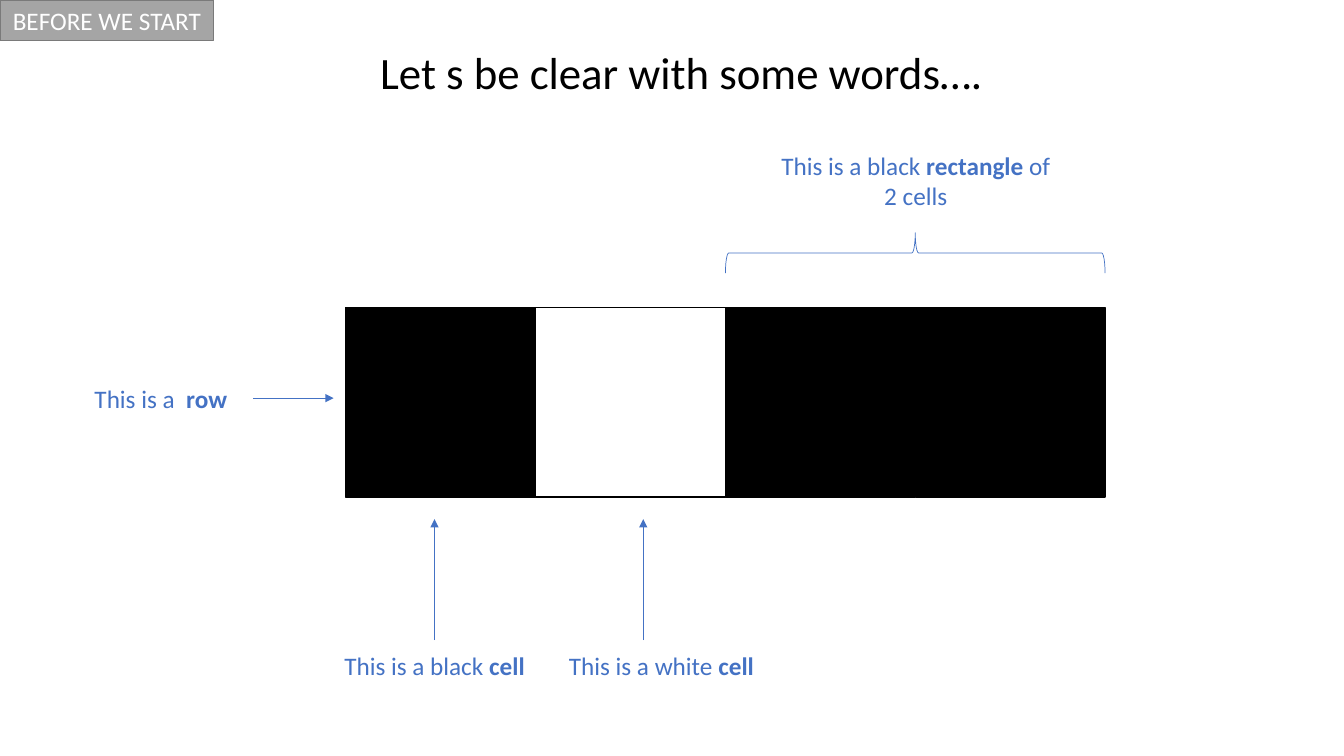
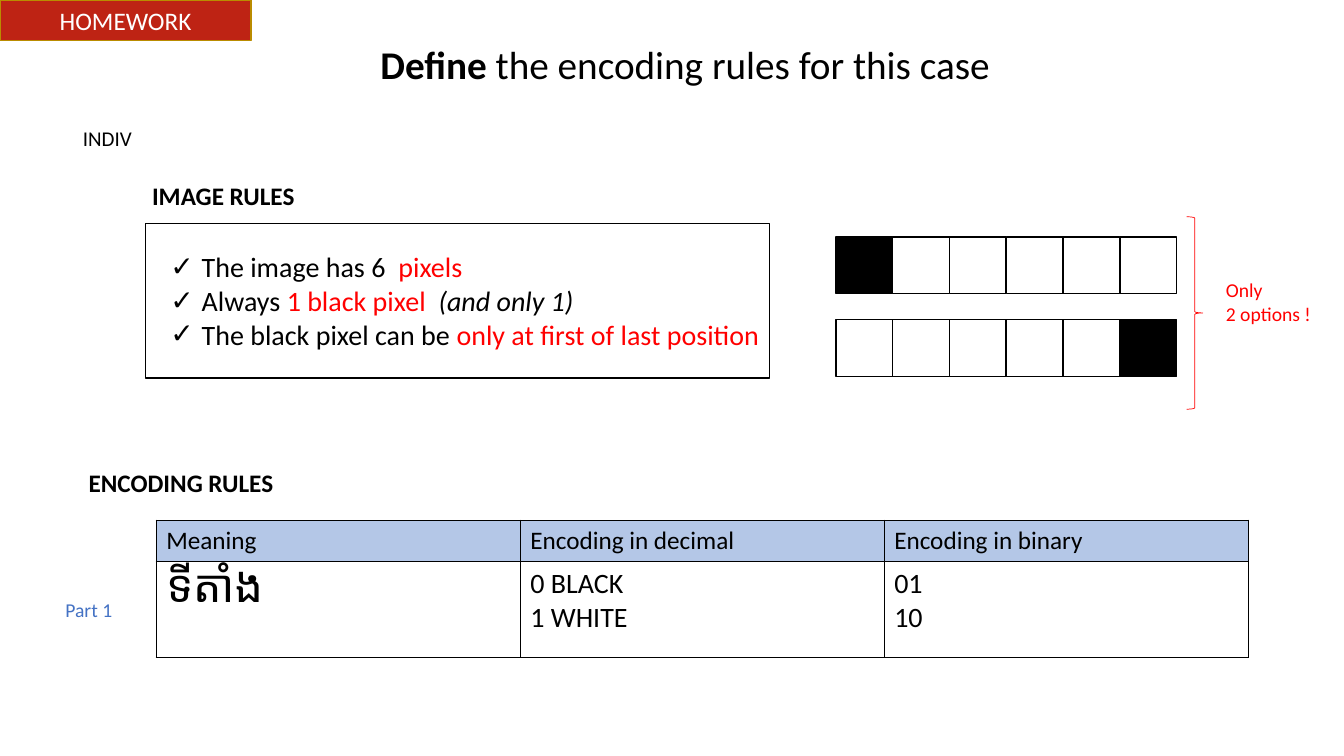
from dataclasses import dataclass

from lxml import etree
from pptx import Presentation
from pptx.dml.color import RGBColor
from pptx.enum.shapes import MSO_CONNECTOR, MSO_SHAPE
from pptx.enum.text import MSO_ANCHOR, MSO_AUTO_SIZE, PP_ALIGN
from pptx.oxml.ns import qn
from pptx.util import Inches, Pt

LEFT, CENTER = PP_ALIGN.LEFT, PP_ALIGN.CENTER
TOP, MIDDLE = MSO_ANCHOR.TOP, MSO_ANCHOR.MIDDLE
NO_AUTOFIT = MSO_AUTO_SIZE.NONE
RECTANGLE = MSO_SHAPE.RECTANGLE
LEFT_BRACE, RIGHT_BRACE = MSO_SHAPE.LEFT_BRACE, MSO_SHAPE.RIGHT_BRACE
STRAIGHT = MSO_CONNECTOR.STRAIGHT
TITLE_AND_CONTENT, TITLE_ONLY = 1, 5


@dataclass(frozen=True)
class Theme:
    font: str = "Calibri"
    black: str = "000000"
    white: str = "FFFFFF"
    blue: str = "4472C4"
    red: str = "FF0000"
    header: str = "B4C7E7"
    start_tag: tuple = ("A5A5A5", "7A7A7A")
    homework_tag: tuple = ("BE2314", "BA8C00")
    title: int = 32
    long_title: int = 28
    body: int = 20
    label: int = 18
    marker: int = 15
    note: int = 14
    outline: float = 1
    pointer: float = 0.5


THEME = Theme()


def rgb(color):
    return RGBColor.from_string(color)


def bold(text):
    return text, {"bold": True}


def red(text):
    return text, {"color": THEME.red}


# ---- Text ----
def set_font(font, size=None, color=None, bold=None, italic=None):
    if size:
        font.size = Pt(size)
    if color:
        font.color.rgb = rgb(color)
    if bold is not None:
        font.bold = bold
    if italic is not None:
        font.italic = italic


def set_bullet(paragraph, char, indent):
    properties = paragraph._p.get_or_add_pPr()
    properties.set("marL", str(Inches(indent)))
    properties.set("indent", str(-Inches(indent)))
    etree.SubElement(properties, qn("a:buChar")).set("char", char)


def write(frame, lines, size, color=THEME.black, align=LEFT, bold=None, bullet=None):
    """Each line is a string or a list of runs: strings or (string, font options)."""
    for index, line in enumerate(lines):
        paragraph = frame.add_paragraph() if index else frame.paragraphs[0]
        paragraph.alignment = align
        paragraph.space_before = Pt(0)
        if bullet:
            set_bullet(paragraph, bullet, 0.31)
        paragraph.font.name = THEME.font
        set_font(paragraph.font, size, color, bold)
        for part in [line] if isinstance(line, str) else line:
            text, options = (part, {}) if isinstance(part, str) else part
            run = paragraph.add_run()
            run.text = text
            set_font(run.font, **options)


def add_label(slide, box, lines, size=THEME.label, wrap=True, **style):
    frame = slide.shapes.add_textbox(*map(Inches, box)).text_frame
    frame.word_wrap = wrap
    write(frame, lines, size, **style)


def fill_placeholder(placeholder, box, lines, size, **style):
    placeholder.left, placeholder.top, placeholder.width, placeholder.height = map(Inches, box)
    frame = placeholder.text_frame
    frame.auto_size = NO_AUTOFIT
    frame.word_wrap = True
    frame.vertical_anchor = TOP
    write(frame, lines, size, **style)


# ---- Shapes ----
def add_shape(slide, kind, box, fill=None, line=THEME.black, width=THEME.outline):
    shape = slide.shapes.add_shape(kind, *map(Inches, box))
    shape.shadow.inherit = False
    if fill:
        shape.fill.solid()
        shape.fill.fore_color.rgb = rgb(fill)
    else:
        shape.fill.background()
    shape.line.color.rgb = rgb(line)
    shape.line.width = Pt(width)
    return shape


def add_arrow(slide, start, end):
    arrow = slide.shapes.add_connector(STRAIGHT, *map(Inches, start + end))
    arrow.line.color.rgb = rgb(THEME.blue)
    arrow.line.width = Pt(THEME.pointer)
    etree.SubElement(arrow.line._get_or_add_ln(), qn("a:tailEnd")).set("type", "triangle")
    etree.SubElement(arrow._element.spPr, qn("a:effectLst"))


def add_pixel_row(slide, left, top, width, pixels):
    """Draw one square per letter: B is black, W is white."""
    side = width / len(pixels)
    fills = {"B": THEME.black, "W": THEME.white}
    for column, pixel in enumerate(pixels):
        add_shape(slide, RECTANGLE, (left + column * side, top, side, side), fills[pixel])


def add_tag(slide, text, width, colors):
    tag = add_shape(slide, RECTANGLE, (0, 0, width, 0.4), *colors)
    tag.text_frame.vertical_anchor = MIDDLE
    write(tag.text_frame, [text], THEME.label, THEME.white, CENTER)


# ---- Vocabulary diagram ----
def add_vocabulary(slide, left, top, width):
    side = width / 4
    label = {"color": THEME.blue, "align": CENTER}
    add_pixel_row(slide, left, top, width, "BWBB")

    # Rectangle of two cells, under an upright brace
    center = left + 3 * side
    depth, span = 0.4, 2 * side
    brace_middle = top - 0.54
    brace_box = (center - depth / 2, brace_middle - span / 2, depth, span)
    brace = add_shape(slide, LEFT_BRACE, brace_box, line=THEME.blue, width=THEME.pointer)
    brace.rotation = 90
    add_label(slide, (center - 1.47, top - 1.61, 2.95, 0.71),
              [["This is a black ", bold("rectangle"), " of 2 cells"]], **label)

    # Single cells
    for color, offset, label_width in (("black", 0.88, 2), ("white", 2.95, 2.37)):
        x = left + offset
        add_arrow(slide, (x, top + 3.3), (x, top + 2.1))
        label_left = x - label_width / 2 + (0.18 if color == "white" else 0)
        add_label(slide, (label_left, top + 3.35, label_width, 0.4),
                  [[f"This is a {color} ", bold("cell")]], **label)

    # Whole row
    row_middle = top + 0.9
    add_arrow(slide, (left - 0.92, row_middle), (left - 0.12, row_middle))
    add_label(slide, (left - 2.65, row_middle - 0.2, 1.63, 0.4),
              [["This is a  ", bold("row")]], **label)


# ---- Image rules ----
def add_image_rules(slide, left, top, width, height):
    add_label(slide, (left - 0.03, top - 0.48, 1.63, 0.4), ["IMAGE RULES"], wrap=False, bold=True)
    add_shape(slide, RECTANGLE, (left, top, width, height))
    rules = [
        ["The image has 6  ", red("pixels")],
        ["Always ", red("1 black pixel  "), ("(and only 1)", {"italic": True})],
        ["The black pixel can be ", red("only at first of last position")],
    ]
    fill_placeholder(slide.placeholders[1], (left + 0.15, top + 0.21, 6.1, 1.11), rules,
                     THEME.body, bullet="✓")


def add_options(slide, left, top, width):
    for index, pixels in enumerate(("BWWWWW", "WWWWWB")):
        add_pixel_row(slide, left, top + index * 0.82, width, pixels)
    right = left + width
    add_shape(slide, RIGHT_BRACE, (right + 0.1, top - 0.2, 0.16, 1.91),
              line=THEME.red, width=THEME.pointer)
    add_label(slide, (right + 0.39, top + 0.36, 1.05, 0.57), ["Only", "2 options !"],
              THEME.note, wrap=False, color=THEME.red)


# ---- Encoding table ----
def style_cell(cell, fill):
    if fill:
        cell.fill.solid()
        cell.fill.fore_color.rgb = rgb(fill)
    else:
        cell.fill.background()
    properties = cell._tc.get_or_add_tcPr()
    for position, side in enumerate(("lnL", "lnR", "lnT", "lnB")):
        border = etree.Element(qn(f"a:{side}"), w=str(Pt(THEME.outline)))
        solid = etree.SubElement(border, qn("a:solidFill"))
        etree.SubElement(solid, qn("a:srgbClr")).set("val", THEME.black)
        properties.insert(position, border)


def add_encoding_rules(slide, left, top, width):
    add_label(slide, (left - 0.77, top - 0.57, 2.06, 0.4), ["ENCODING RULES"],
              wrap=False, bold=True)
    add_label(slide, (left - 1, top + 0.72, 0.67, 0.34), ["Part 1"],
              THEME.note, wrap=False, color=THEME.blue)
    columns = [
        ("Meaning", ["ទីតាំង"], THEME.title),
        ("Encoding in decimal", ["0 BLACK", "1 WHITE"], THEME.body),
        ("Encoding in binary", ["01", "10"], THEME.body),
    ]
    heights = (0.41, 0.95)
    box = (left, top, width, sum(heights))
    table = slide.shapes.add_table(2, len(columns), *map(Inches, box)).table
    table.first_row = table.horz_banding = False
    for row, height in zip(table.rows, heights):
        row.height = Inches(height)
    for index, (heading, lines, size) in enumerate(columns):
        table.columns[index].width = Inches(width / len(columns))
        header, content = table.cell(0, index), table.cell(1, index)
        style_cell(header, THEME.header)
        write(header.text_frame, [heading], THEME.label)
        style_cell(content, None)
        write(content.text_frame, lines, size)


# ---- Slides ----
def build_words_slide(prs):
    slide = prs.slides.add_slide(prs.slide_layouts[TITLE_ONLY])
    fill_placeholder(slide.shapes.title, (3.67, 0.39, 6.24, 0.64),
                     ["Let s be clear with some words…."], THEME.title)
    add_tag(slide, "BEFORE WE START", 2.12, THEME.start_tag)
    add_vocabulary(slide, 3.43, 3.05, 7.53)


def build_homework_slide(prs):
    slide = prs.slides.add_slide(prs.slide_layouts[TITLE_AND_CONTENT])
    fill_placeholder(slide.shapes.title, (3, 0.35, 7.59, 0.57),
                     [[bold("Define"), " the encoding rules for this case"]],
                     THEME.long_title, align=CENTER)
    add_tag(slide, "HOMEWORK", 2.49, THEME.homework_tag)
    add_label(slide, (0.72, 1.2, 0.69, 0.35), ["INDIV"], THEME.marker, wrap=False, align=CENTER)
    add_image_rules(slide, 1.44, 2.22, 6.19, 1.53)
    add_options(slide, 8.29, 2.35, 3.38)
    add_encoding_rules(slide, 1.55, 5.16, 10.83)


def main():
    prs = Presentation()
    prs.slide_width, prs.slide_height = Inches(13.33), Inches(7.5)
    build_words_slide(prs)
    build_homework_slide(prs)
    prs.save("out.pptx")


if __name__ == "__main__":
    main()
